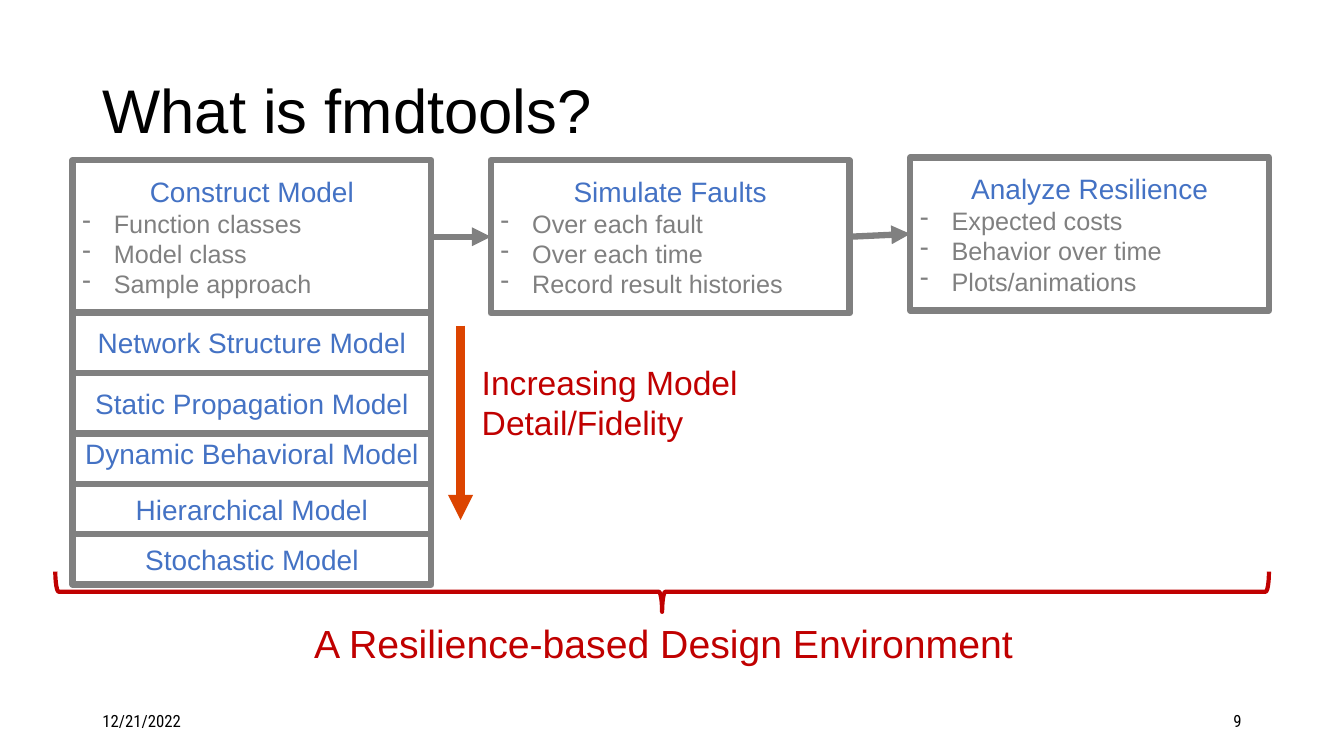
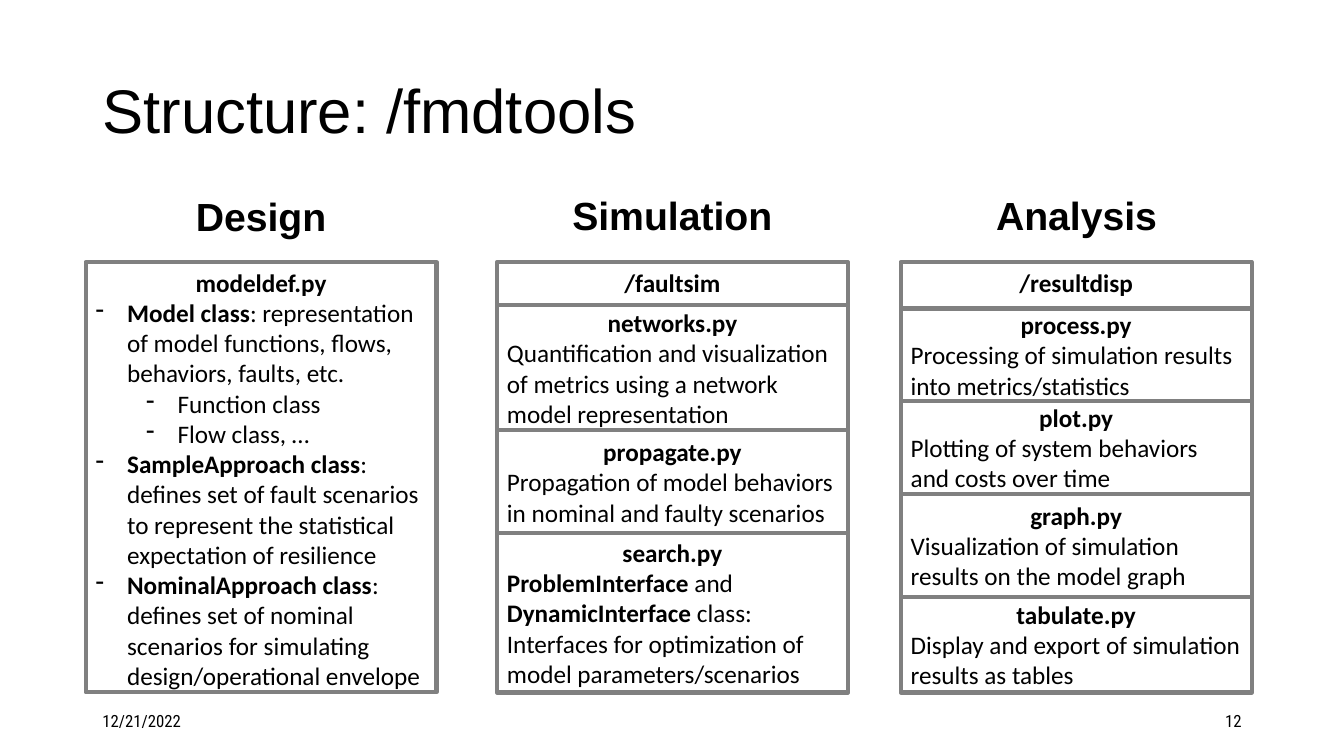
from pptx import Presentation
from pptx.util import Pt
from pptx.dml.color import RGBColor as RGB
from pptx.enum.shapes import MSO_SHAPE as SHAPE, MSO_CONNECTOR as CONN
from pptx.enum.text import PP_ALIGN as AL, MSO_ANCHOR as ANC
from pptx.oxml.ns import qn
from lxml.etree import SubElement

COLORS = {
    "black": "000000",
    "white": "FFFFFF",
    "gray": "808080",
    "blue": "4472C4",
    "red": "C00000",
    "orange": "DC4400",
}
C = {name: RGB.from_string(value) for name, value in COLORS.items()}
HANG = 22.5


def add_text(s, at, lines, font, kind=None, weight=0, anchor=ANC.MIDDLE):
    at = [Pt(v) for v in at]
    if kind is None:
        sp = s.shapes.add_textbox(*at)
    else:
        sp = s.shapes.add_shape(kind, *at)
        sp.shadow.inherit = False
        sp.fill.solid()
        sp.fill.fore_color.rgb = C["white"]
        sp.line.color.rgb = C["gray"]
        sp.line.width = Pt(weight)
    tf = sp.text_frame
    tf.word_wrap = True
    tf.vertical_anchor = anchor
    for i, (text, size, color, align, level) in enumerate(lines):
        p = tf.add_paragraph() if i else tf.paragraphs[0]
        p.alignment = align
        if level is not None:
            p.level = level
            pPr = p._p.get_or_add_pPr()
            pPr.set("marL", str(Pt(HANG + 36 * level)))
            pPr.set("indent", str(-Pt(HANG)))
            SubElement(pPr, qn("a:buChar")).set("char", "-")
        for j, part in enumerate(text.split("**")):
            if part:
                r = p.add_run()
                r.text = part
                r.font.name = font
                r.font.size = Pt(size)
                r.font.bold = j % 2 == 1
                r.font.color.rgb = C[color]
    return sp


def add_arrow(s, x1, y1, x2, y2, color, weight):
    cx = s.shapes.add_connector(CONN.STRAIGHT, Pt(x1), Pt(y1), Pt(x2), Pt(y2))
    cx.line.color.rgb = C[color]
    cx.line.width = Pt(weight)
    spPr = cx.element.spPr
    SubElement(spPr.find(qn("a:ln")), qn("a:tailEnd")).set("type", "triangle")
    SubElement(spPr, qn("a:effectLst"))
    return cx


prs = Presentation()
prs.slide_width = Pt(960)
prs.slide_height = Pt(540)

slides = []
for title, number in [("What is fmdtools?", "9"), ("Structure: /fmdtools", "12")]:
    s = prs.slides.add_slide(prs.slide_layouts[5])
    sp = s.shapes.title
    sp.left, sp.top, sp.width, sp.height = Pt(66), Pt(28.8), Pt(828), Pt(104.4)
    tf = sp.text_frame
    tf.text = title
    tf.vertical_anchor = ANC.MIDDLE
    p = tf.paragraphs[0]
    p.alignment = AL.LEFT
    p.line_spacing = 0.9
    r = p.runs[0]
    r.font.name = "Arial"
    r.font.size = Pt(44)
    r.font.color.rgb = C["black"]
    for x, text, align in [(66, "12/21/2022", AL.LEFT), (678, number, AL.RIGHT)]:
        add_text(s, (x, 500.5, 216, 28.8), [(text, 12, "black", align, None)],
                 "Roboto Condensed")
    slides.append(s)

s = slides[0]
STEP_W = 256.3
steps = [
    (51.8, 114.4, "Construct Model", ["Function classes", "Model class", "Sample approach"]),
    (350.6, 114.4, "Simulate Faults",
     ["Over each fault", "Over each time", "Record result histories"]),
    (650.2, 112.4, "Analyze Resilience",
     ["Expected costs", "Behavior over time", "Plots/animations"]),
]
boxes = []
for x, y, head, items in steps:
    lines = [(head, 20, "blue", AL.CENTER, None)]
    lines += [(item, 18, "gray", AL.LEFT, 0) for item in items]
    boxes.append(add_text(s, (x, y, STEP_W, 109.4), lines, "Arial", SHAPE.RECTANGLE, 4.5))
for left, right in zip(boxes, boxes[1:]):
    cx = add_arrow(s, 0, 0, 0, 0, "gray", 4.5)
    cx.begin_connect(left, 3)
    cx.end_connect(right, 1)

models = [
    ("Network Structure Model", 223.2, 43.2),
    ("Dynamic Behavioral Model", 302.4, 43.2),
    ("Static Propagation Model", 266.4, 43.2),
    ("Hierarchical Model", 345.6, 36),
    ("Stochastic Model", 381.6, 36),
]
for name, y, h in models:
    add_text(s, (51.8, y, STEP_W, h), [(name, 20, "blue", AL.CENTER, None)],
             "Arial", SHAPE.RECTANGLE, 4.5)

add_arrow(s, 329, 232.6, 329, 371.5, "orange", 6)
for at, text, size in [
    ((337, 254.9, 222.5, 65.5), "Increasing Model Detail/Fidelity", 24),
    ((217.4, 438.5, 542.9, 41), "A Resilience-based Design Environment", 28),
]:
    add_text(s, at, [(text, size, "red", AL.LEFT, None)], "Arial", anchor=ANC.TOP)

brace = s.shapes.add_shape(SHAPE.LEFT_BRACE, Pt(458.6), Pt(-10.8), Pt(28.8), Pt(866.9))
brace.rotation = 270
brace.shadow.inherit = False
brace.fill.background()
brace.line.color.rgb = C["red"]
brace.line.width = Pt(3)

s = slides[1]
COL_W, COL_TOP, COL_H = 250.6, 187.2, 307.4
classes = [
    ("**Model class**: representation of model functions, flows, behaviors, faults, etc.", 0),
    ("Function class", 1),
    ("Flow class, …", 1),
    ("**SampleApproach class**: defines set of fault scenarios to represent "
     "the statistical expectation of resilience", 0),
    ("**NominalApproach class**: defines set of nominal scenarios for simulating "
     "design/operational envelope", 0),
]
simulation = [
    ("networks.py", 89.3,
     "Quantification and visualization of metrics using a network model representation"),
    ("propagate.py", 73.4, "Propagation of model behaviors in nominal and faulty scenarios"),
    ("search.py", 113.8,
     "**ProblemInterface** and **DynamicInterface** class: "
     "Interfaces for optimization of model parameters/scenarios"),
]
analysis = [
    ("process.py", 66.2, "Processing of simulation results into metrics/statistics"),
    ("plot.py", 66.2, "Plotting of system behaviors and costs over time"),
    ("graph.py", 73.4, "Visualization of simulation results on the model graph"),
    ("tabulate.py", 68.4, "Display and export of simulation results as tables"),
]
columns = [
    (61.2, "Design", 97.9, 133.9, "modeldef.py", classes, []),
    (355, "Simulation", 391.7, 133.2, "/faultsim", [], simulation),
    (643.4, "Analysis", 680.4, 133.2, "/resultdisp", [], analysis),
]
for x, label, label_x, label_y, head, items, modules in columns:
    add_text(s, (label_x, label_y, 177.1, 41),
             [(f"**{label}**", 28, "black", AL.CENTER, None)], "Arial", anchor=ANC.TOP)
    lines = [(f"**{head}**", 18, "black", AL.CENTER, None)]
    lines += [(text, 18, "black", AL.LEFT, level) for text, level in items]
    add_text(s, (x, COL_TOP, COL_W, COL_H), lines, "Calibri",
             SHAPE.FLOWCHART_PROCESS, 3, ANC.TOP)
    y = COL_TOP + COL_H - sum(h for _, h, _ in modules)
    for name, h, text in modules:
        lines = [(f"**{name}**", 18, "black", AL.CENTER, None),
                 (text, 18, "black", AL.LEFT, None)]
        add_text(s, (x, y, COL_W, h), lines, "Calibri", SHAPE.FLOWCHART_PROCESS, 3)
        y += h

prs.save("out.pptx")
